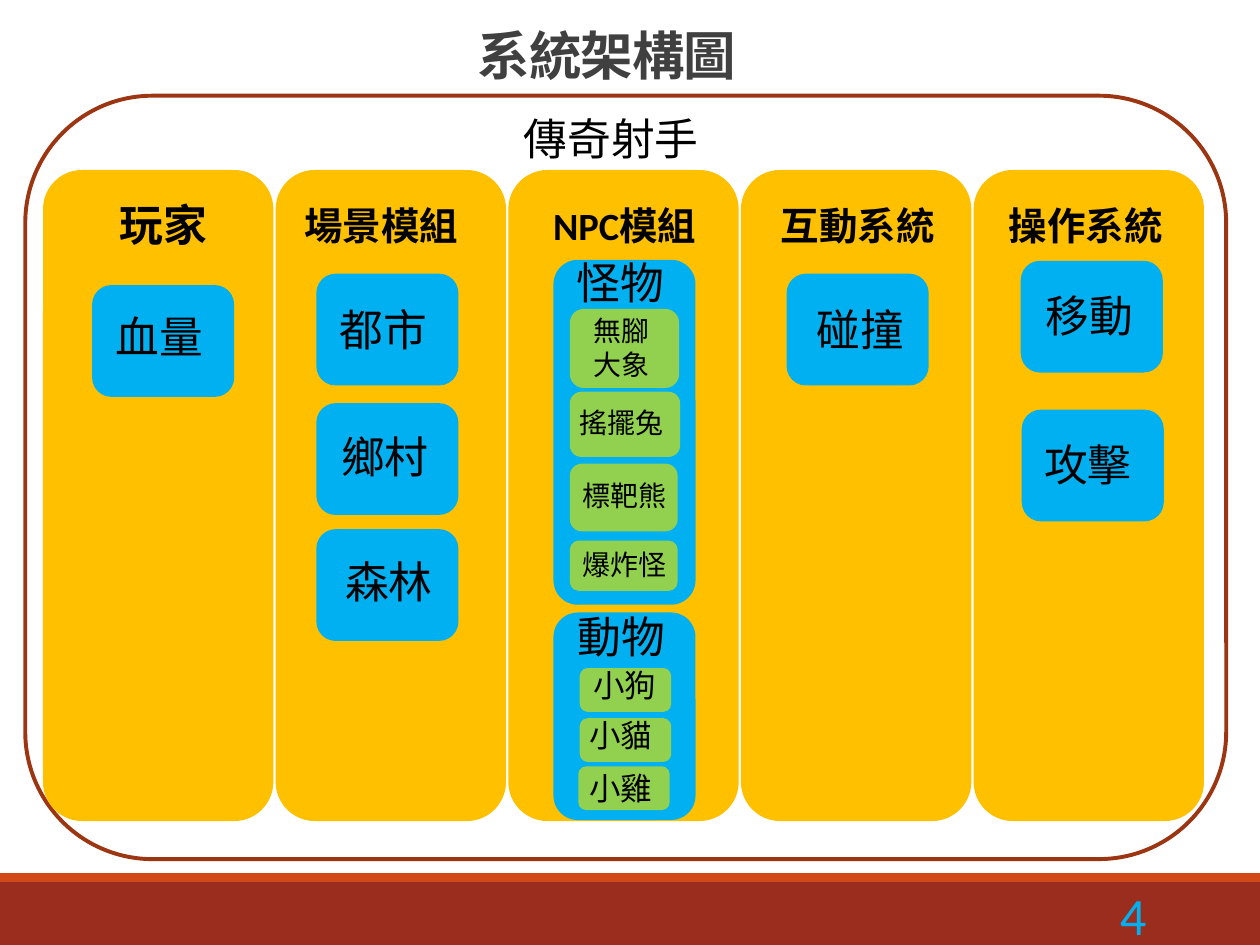
from pptx import Presentation
from pptx.dml.color import RGBColor
from pptx.enum.shapes import MSO_SHAPE as Shape
from pptx.enum.text import MSO_ANCHOR as Anchor, PP_ALIGN as Align
from pptx.oxml.ns import qn
from pptx.oxml.xmlchemy import OxmlElement
from pptx.util import Cm, Pt

COLORS = {
    "white": "FFFFFF", "black": "000000", "title": "404040",
    "frame": "9C3511", "column": "FFC000", "module": "00B0F0",
    "item": "92D050", "footer": "9B2D1F", "stripe": "D34817",
}
LATIN, CJK = "Calibri", "Noto Sans CJK SC"

# Content; all lengths are in centimetres
TITLE = "系統架構圖"
GAME_NAME = "傳奇射手"
PAGE_NUMBER = "4"

# Column heading: text, left, top, width, height, size, alignment
HEADINGS = [
    ("玩家", 1.88, 3.86, 2.82, 1.32, 25, Align.CENTER),
    ("場景模組", 5.89, 3.94, 3.81, 1.19, 22, Align.LEFT),
    ("NPC模組", 10.9, 3.94, 3.81, 1.19, 22, Align.LEFT),
    ("互動系統", 15.49, 3.94, 3.81, 1.19, 22, Align.LEFT),
    ("操作系統", 20.09, 3.94, 3.81, 1.19, 22, Align.LEFT),
]
# Module: text, box left and top, box height, label left and top
MODULES = [
    ("血量", 1.88, 5.77, 2.21, 2.08, 6.12),
    ("都市", 6.4, 5.54, 2.21, 6.6, 5.97),
    ("鄉村", 6.4, 8.15, 2.21, 6.63, 8.53),
    ("森林", 6.4, 10.69, 2.21, 6.71, 11.05),
    ("碰撞", 15.88, 5.54, 2.21, 16.21, 5.97),
    ("移動", 20.6, 5.28, 2.21, 20.83, 5.69),
    ("攻擊", 20.62, 8.28, 2.21, 20.8, 8.71),
    ("怪物", 11.18, 5.26, 6.91, 11.38, 5.03),
    ("動物", 11.18, 12.37, 4.14, 11.4, 12.17),
]
# Item: text, box rectangle, label rectangle
MONSTERS = [
    ("無腳大象", (11.51, 6.25, 2.16, 1.55), (11.51, 6.2, 2.03, 1.63)),
    ("搖擺兔", (11.51, 7.92, 2.18, 1.27), (11.33, 8.05, 2.41, 0.94)),
    ("標靶熊", (11.51, 9.37, 2.13, 1.32), (11.38, 9.53, 2.41, 0.94)),
    ("爆炸怪", (11.51, 10.92, 2.13, 0.97), (11.38, 10.92, 2.41, 0.94)),
]
ANIMALS = [
    ("小狗", (11.71, 13.49, 1.8, 0.84), (11.71, 13.31, 2.03, 1.02)),
    ("小貓", (11.71, 14.5, 1.8, 0.84), (11.63, 14.3, 2.03, 1.02)),
    ("小雞", (11.68, 15.47, 1.8, 0.84), (11.63, 15.37, 2.03, 1.02)),
]
COLUMN_LEFT, COLUMN_STEP = 0.89, 4.69


def rgb(name):
    return RGBColor.from_string(COLORS[name])


def add_box(slide, rect, fill, line=None, width=1.25, kind=Shape.ROUNDED_RECTANGLE):
    shape = slide.shapes.add_shape(kind, *map(Cm, rect))
    shape.shadow.inherit = False
    shape.fill.solid()
    shape.fill.fore_color.rgb = rgb(fill)
    if line:
        shape.line.color.rgb = rgb(line)
        shape.line.width = Pt(width)
    else:
        shape.line.fill.background()


def write_text(frame, text, size, color="black", align=Align.LEFT,
               bold=False, latin=LATIN, spacing=0):
    frame.word_wrap = True
    paragraph = frame.paragraphs[0]
    paragraph.text = text
    paragraph.alignment = align
    font = paragraph.font
    font.name, font.size, font.bold = latin, Pt(size), bold
    font.color.rgb = rgb(color)
    # East Asian typeface and letter spacing
    properties = paragraph._p.pPr.find(qn("a:defRPr"))
    east_asian = OxmlElement("a:ea")
    east_asian.set("typeface", CJK)
    properties.find(qn("a:latin")).addnext(east_asian)
    if spacing:
        properties.set("spc", str(int(spacing * 100)))
    return paragraph


def add_label(slide, rect, text, size, **style):
    frame = slide.shapes.add_textbox(*map(Cm, rect)).text_frame
    write_text(frame, text, size, **style)
    return frame


def main():
    presentation = Presentation()
    presentation.slide_width, presentation.slide_height = Cm(25.4), Cm(19.05)
    slide = presentation.slides.add_slide(presentation.slide_layouts[5])

    # Footer band and page number
    add_box(slide, (0, 17.78, 25.4, 1.27), "footer", kind=Shape.RECTANGLE)
    add_box(slide, (0, 17.6, 25.4, 0.18), "stripe", kind=Shape.RECTANGLE)
    number = add_label(slide, (20.62, 17.93, 2.74, 1.02), PAGE_NUMBER, 30,
                       color="module", align=Align.RIGHT)
    number.vertical_anchor = Anchor.MIDDLE

    # Title
    title = slide.shapes.title
    title.left, title.top, title.width, title.height = map(Cm, (8.31, 0.74, 7.85, 1.12))
    title.text_frame.vertical_anchor = Anchor.BOTTOM
    heading = write_text(title.text_frame, TITLE, 30, color="title",
                         align=Align.CENTER, bold=True, spacing=-0.5)
    heading.line_spacing = 0.85

    # Outer frame with the name of the game
    add_box(slide, (0.51, 1.93, 24.21, 15.39), "white", "frame", 2.25)
    add_label(slide, (10.31, 2.13, 4.6, 1.32), GAME_NAME, 25, latin=CJK)

    # Columns and their headings
    for index, (text, *rect, size, align) in enumerate(HEADINGS):
        left = COLUMN_LEFT + index * COLUMN_STEP
        add_box(slide, (left, 3.45, 4.6, 13.08), "column", "column")
        add_label(slide, rect, text, size, align=align, bold=True)

    # Modules
    for text, left, top, height, label_left, label_top in MODULES:
        add_box(slide, (left, top, 2.82, height), "module", "module")
        add_label(slide, (label_left, label_top, 2.41, 1.32), text, 25, latin=CJK)

    # Items inside the NPC modules
    for items, size, align in ((MONSTERS, 16, Align.CENTER), (ANIMALS, 18, Align.LEFT)):
        for text, box, label in items:
            add_box(slide, box, "item", "item")
            add_label(slide, label, text, size, align=align)

    presentation.save("out.pptx")


if __name__ == "__main__":
    main()
